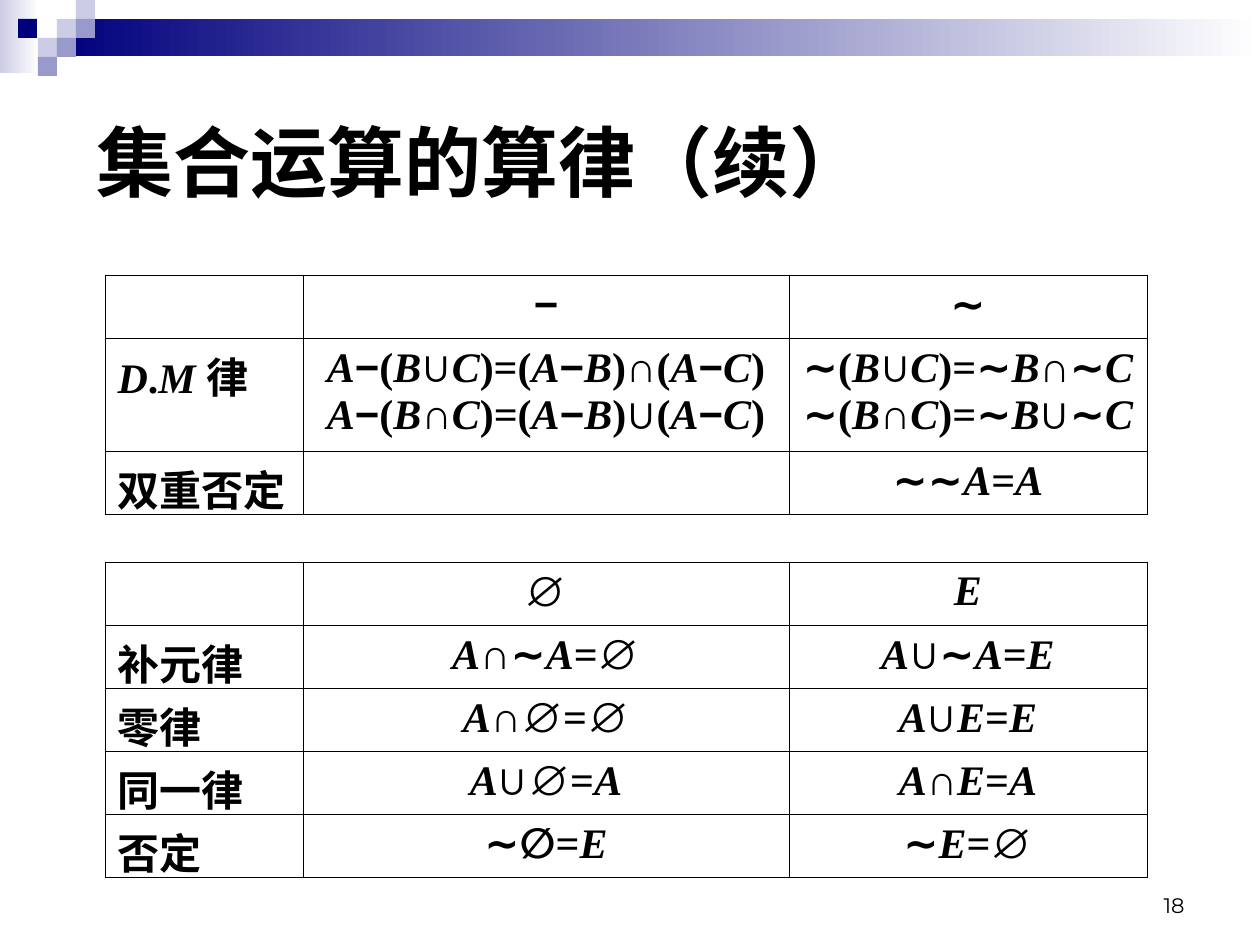
from itertools import groupby

from lxml.etree import SubElement
from pptx import Presentation
from pptx.dml.color import RGBColor
from pptx.enum.shapes import MSO_SHAPE
from pptx.enum.text import MSO_ANCHOR, PP_ALIGN
from pptx.oxml.ns import qn
from pptx.util import Pt

PX_PER_INCH = 126
COLORS = {
    "navy": "00007D",
    "lavender": "CCCCE6",
    "violet": "9999CC",
    "white": "FFFFFF",
    "black": "000000",
}
SANS, SERIF, NUMBER = "Arial", "Times New Roman", "Montserrat"
OPERATORS = "−∼∪∩∅"

TILE = 19
TILES = [  # left, top, colour
    (57, 19, "lavender"),
    (76, 0, "lavender"),
    (76, 19, "violet"),
    (38, 38, "lavender"),
    (18, 19, "navy"),
    (57, 38, "violet"),
    (38, 57, "violet"),
]

COLUMNS = [198, 486, 358]
TABLE_LEFT = 105
DIFFERENCE_LAWS = [
    ["", "−", "∼"],
    ["D.M 律",
     "A−(B∪C)=(A−B)∩(A−C)\nA−(B∩C)=(A−B)∪(A−C)",
     "∼(B∪C)=∼B∩∼C\n∼(B∩C)=∼B∪∼C"],
    ["双重否定", "", "∼∼A=A"],
]
CONSTANT_LAWS = [
    ["", "∅", "E"],
    ["补元律", "A∩∼A=∅", "A∪∼A=E"],
    ["零律", "A∩∅=∅", "A∪E=E"],
    ["同一律", "A∪∅=A", "A∩E=A"],
    ["否定", "∼∅=E", "∼E=∅"],
]


def px(length):
    return round(length * 914400 / PX_PER_INCH)


def rgb(name):
    return RGBColor.from_string(COLORS[name])


def formula_style(char):
    """Font and slant of a character: operators sans, set names italic."""
    if char in OPERATORS:
        return SANS, False
    return SERIF, char.isascii() and char.isalpha()


def write(frame, text, size=24, font=None, bold=True, align=PP_ALIGN.LEFT):
    """Write text line by line; without a font it is set as a formula."""
    for index, line in enumerate(text.split("\n")):
        paragraph = frame.add_paragraph() if index else frame.paragraphs[0]
        paragraph.alignment = align
        style = (lambda char: (font, False)) if font else formula_style
        for (face, italic), chars in groupby(line, key=style):
            run = paragraph.add_run()
            run.text = "".join(chars)
            run.font.name, run.font.size = face, Pt(size)
            run.font.bold, run.font.italic = bold, italic
            run.font.color.rgb = rgb("black")


def add_block(slide, left, top, width, height, *colors):
    """Rectangle with a plain fill, or a gradient from left to right."""
    block = slide.shapes.add_shape(
        MSO_SHAPE.RECTANGLE, px(left), px(top), px(width), px(height))
    block.shadow.inherit = False
    block.line.fill.background()
    if len(colors) == 1:
        block.fill.solid()
        block.fill.fore_color.rgb = rgb(colors[0])
    else:
        block.fill.gradient()
        block.fill.gradient_angle = 0
        for stop, color in zip(block.fill.gradient_stops, colors):
            stop.color.rgb = rgb(color)


def add_borders(cell):
    properties = cell._tc.get_or_add_tcPr()
    for side in ("a:lnL", "a:lnR", "a:lnT", "a:lnB"):
        line = SubElement(properties, qn(side), w=str(Pt(0.45)))
        fill = SubElement(line, qn("a:solidFill"))
        SubElement(fill, qn("a:srgbClr"), val=COLORS["black"])


def add_law_table(slide, laws, top, heights):
    table = slide.shapes.add_table(
        len(laws), len(COLUMNS), px(TABLE_LEFT), px(top),
        px(sum(COLUMNS)), px(sum(heights))).table
    table.first_row = table.horz_banding = False
    for column, width in zip(table.columns, COLUMNS):
        column.width = px(width)
    for row, height, texts in zip(table.rows, heights, laws):
        row.height = px(height)
        for index, (cell, text) in enumerate(zip(row.cells, texts)):
            add_borders(cell)
            cell.fill.background()
            write(cell.text_frame, text,
                  align=PP_ALIGN.CENTER if index else PP_ALIGN.LEFT)


def add_title(slide, text):
    title = slide.shapes.title
    title.left, title.top = px(84), px(66)
    title.width, title.height = px(1134), px(189)
    title.text_frame.vertical_anchor = MSO_ANCHOR.MIDDLE
    write(title.text_frame, text, size=44, font=SANS)


def add_page_number(slide, text):
    frame = slide.shapes.add_textbox(
        px(903), px(861), px(294), px(63)).text_frame
    frame.word_wrap = True
    frame.vertical_anchor = MSO_ANCHOR.BOTTOM
    write(frame, text, size=12, font=NUMBER, bold=False,
          align=PP_ALIGN.RIGHT)


def main():
    deck = Presentation()
    deck.slide_width, deck.slide_height = px(1260), px(945)
    slide = deck.slides.add_slide(deck.slide_layouts[5])

    # Header band and tiles
    add_block(slide, 0, 0, 39, 73, "lavender", "white")
    add_block(slide, 57, 19, 1203, 37, "navy", "white")
    for left, top, color in TILES:
        add_block(slide, left, top, TILE, TILE, color)

    # Page number and title
    add_page_number(slide, "18")
    add_title(slide, "集合运算的算律（续）")

    # Laws of set operations
    add_law_table(slide, DIFFERENCE_LAWS, 275, [63, 113, 63])
    add_law_table(slide, CONSTANT_LAWS, 562, [63] * len(CONSTANT_LAWS))

    deck.save("out.pptx")


if __name__ == "__main__":
    main()
